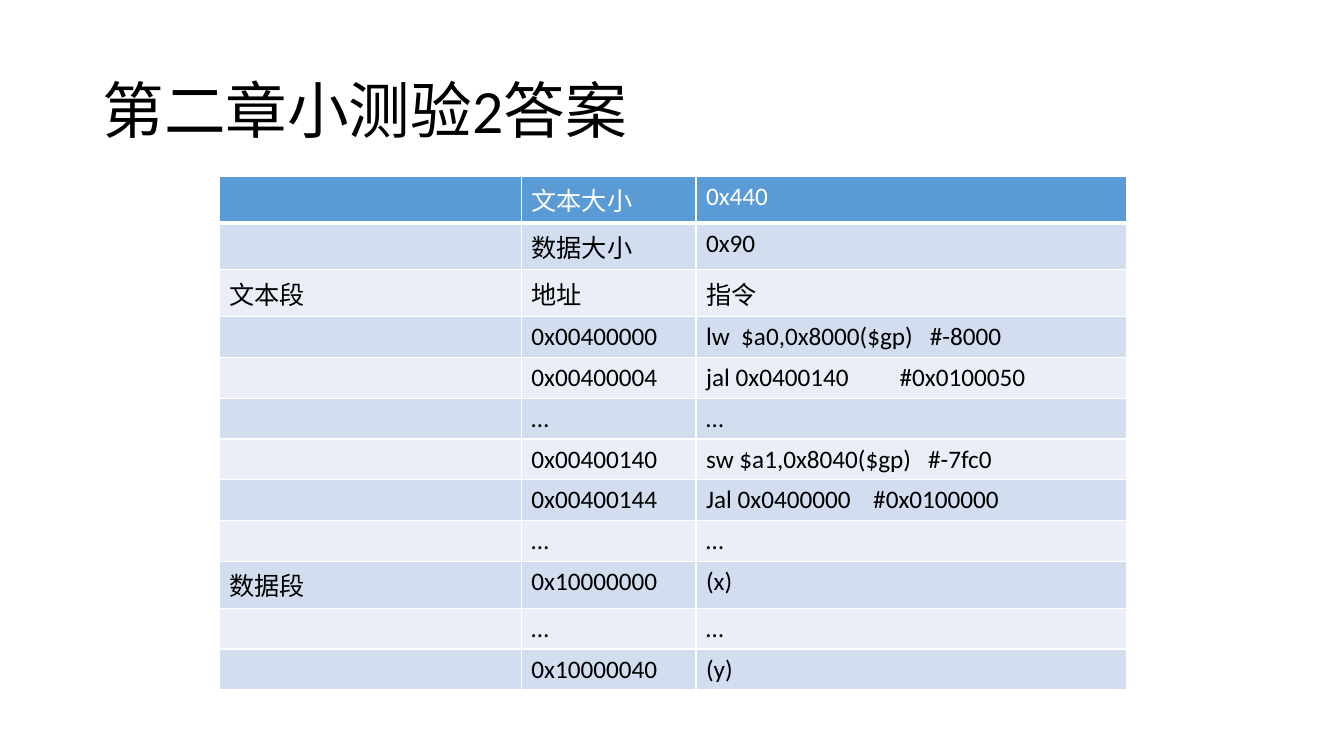
from lxml.etree import SubElement as Sub
from pptx import Presentation
from pptx.dml.color import RGBColor as Rgb
from pptx.enum.text import MSO_ANCHOR as Anchor, MSO_AUTO_SIZE as Fit, PP_ALIGN as Align
from pptx.oxml.ns import qn
from pptx.util import Cm, Pt

HUES = {"head": "5B9BD5", "dark": "D2DEEF", "light": "EAEFF7",
        "white": "FFFFFF", "black": "000000"}
ROWS = [
    ("", "文本大小", "0x440"),
    ("", "数据大小", "0x90"),
    ("文本段", "地址", "指令"),
    ("", "0x00400000", "lw  $a0,0x8000($gp)   #-8000"),
    ("", "0x00400004", "jal 0x0400140         #0x0100050"),
    ("", "…", "…"),
    ("", "0x00400140", "sw $a1,0x8040($gp)   #-7fc0"),
    ("", "0x00400144", "Jal 0x0400000    #0x0100000"),
    ("", "…", "…"),
    ("数据段", "0x10000000", "(x)"),
    ("", "…", "…"),
    ("", "0x10000040", "(y)"),
]


class Page:
    face = "Calibri"

    def __init__(self, deck):
        self.slide = deck.slides.add_slide(deck.slide_layouts[5])

    def style(self, para, size, hue):
        font = para.font
        font.name, font.size, font.bold = self.face, Pt(size), False
        font.color.rgb = Rgb.from_string(HUES[hue])

    def title(self, text, left, top, width, height):
        box = self.slide.shapes.title
        box.left, box.top, box.width, box.height = map(Cm, (left, top, width, height))
        frame = box.text_frame
        frame.text = text
        frame.word_wrap = True
        frame.auto_size = Fit.NONE
        frame.vertical_anchor = Anchor.MIDDLE
        para = frame.paragraphs[0]
        para.alignment, para.line_spacing = Align.LEFT, 0.9
        self.style(para, 44, "black")

    def edge(self, cell, side, width):
        line = Sub(cell._tc.get_or_add_tcPr(), qn("a:ln" + side), w=str(Pt(width)))
        fill = Sub(line, qn("a:solidFill"))
        Sub(fill, qn("a:srgbClr"), val=HUES["white"])

    def cell(self, cell, text, fill, hue, base):
        for side in "LRTB":
            self.edge(cell, side, base if side == "B" else 1)
        cell.fill.solid()
        cell.fill.fore_color.rgb = Rgb.from_string(HUES[fill])
        cell.text = text
        self.style(cell.text_frame.paragraphs[0], 18, hue)

    def table(self, rows, left, top, widths, height):
        frame = self.slide.shapes.add_table(
            len(rows), len(widths), Cm(left), Cm(top),
            Cm(sum(widths)), Cm(height * len(rows)))
        grid = frame.table
        for col, width in zip(grid.columns, widths):
            col.width = Cm(width)
        for r, row in enumerate(rows):
            grid.rows[r].height = Cm(height)
            fill = "head" if r == 0 else "dark" if r % 2 else "light"
            hue, base = ("white", 3) if r == 0 else ("black", 1)
            for c, text in enumerate(row):
                self.cell(grid.cell(r, c), text, fill, hue, base)


def main():
    deck = Presentation()
    deck.slide_width, deck.slide_height = Cm(33.87), Cm(19.05)
    page = Page(deck)
    page.title("第二章小测验2答案", 2.33, 1.01, 29.21, 3.68)
    page.table(ROWS, 5.52, 4.45, (7.62, 4.4, 10.84), 1.03)
    deck.save("out.pptx")


if __name__ == "__main__":
    main()
